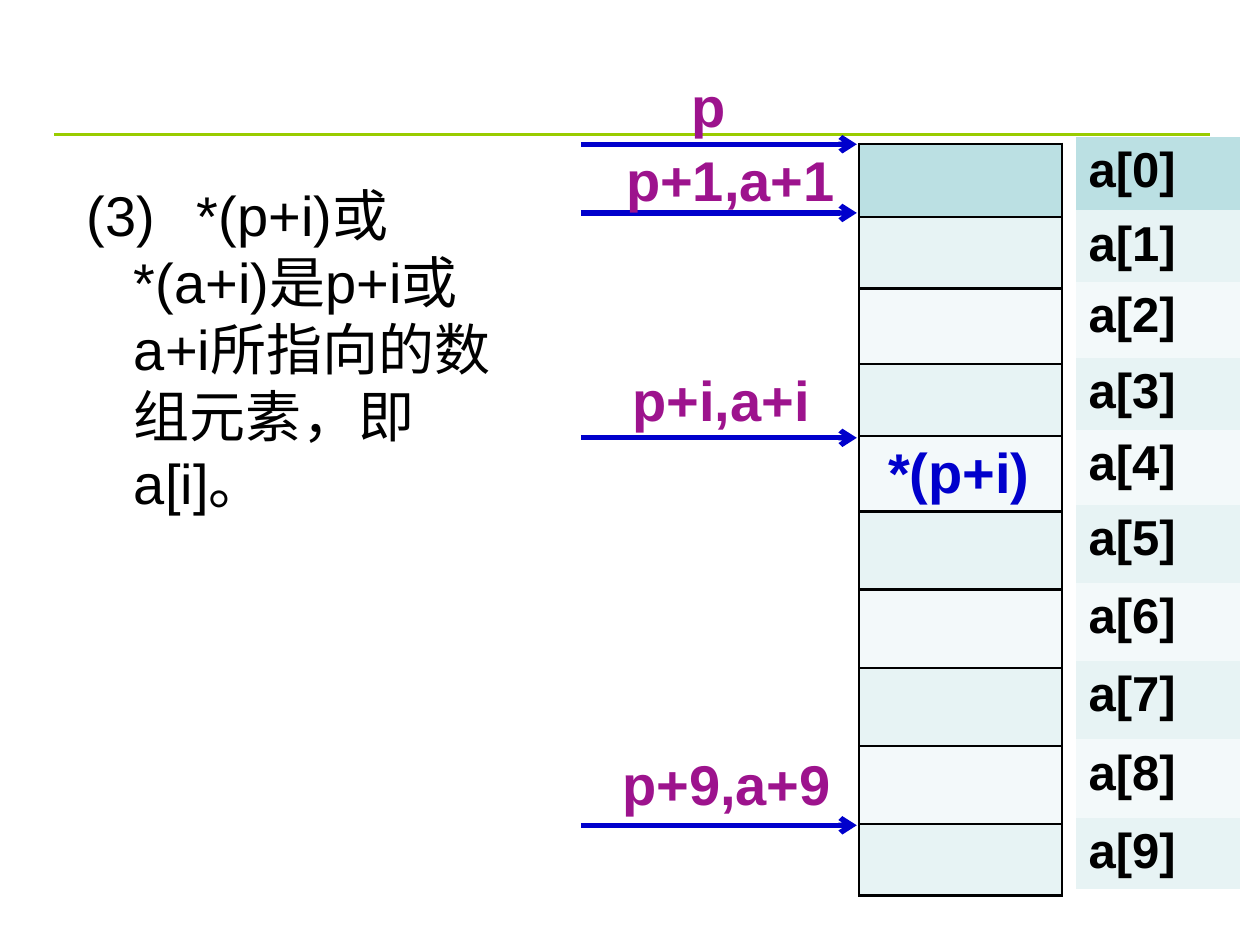
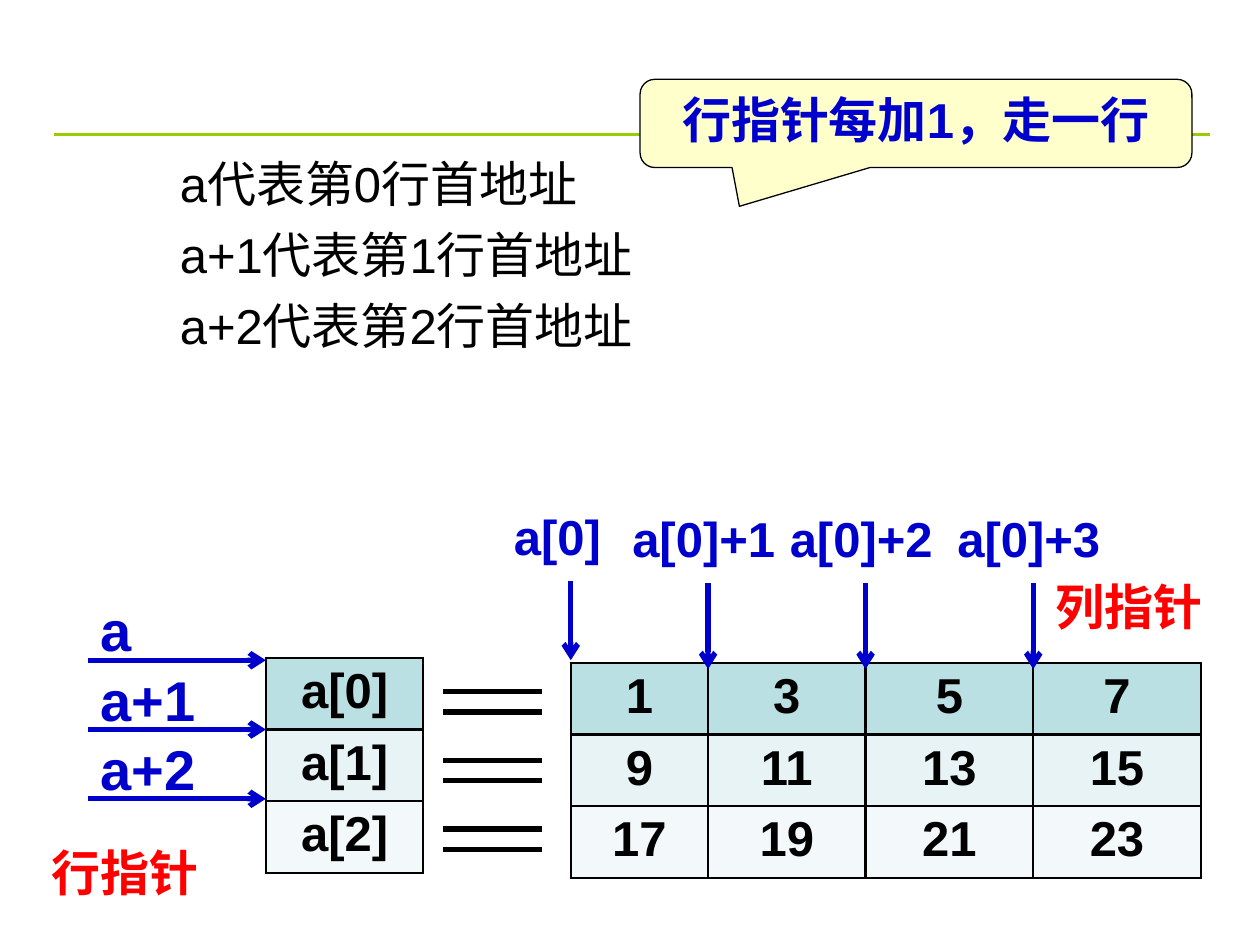
from itertools import accumulate

from lxml import etree
from pptx import Presentation
from pptx import util as u
from pptx.dml.color import RGBColor
from pptx.enum import shapes, text
from pptx.oxml.ns import qn

# The slide is a grid of 100 columns by 75 rows of square cells.
COLUMNS, ROWS = 100, 75
CELL = u.Inches(0.1)

BLACK = RGBColor(0x00, 0x00, 0x00)
BLUE = RGBColor(0x00, 0x00, 0xCC)
PURPLE = RGBColor(0x9D, 0x13, 0x8D)
RED = RGBColor(0xFF, 0x00, 0x00)
GREEN = RGBColor(0x99, 0xCC, 0x00)
CREAM = RGBColor(0xFF, 0xFF, 0xCC)
HEAD_FILL = RGBColor(0xBB, 0xE0, 0xE3)
BAND_FILLS = RGBColor(0xF3, 0xF9, 0xFA), RGBColor(0xE7, 0xF3, 0xF4)

FONT = "Arial"
LARGE, MEDIUM = 32, 28
PLAIN_TABLE = "{2D5ABB26-0587-4C30-8999-92F81FD0307C}"
HANG = 3.75


def grid(*counts):
    return [u.Emu(round(count * CELL)) for count in counts]


def style(paragraph, size, color=BLACK, bold=True, align=None):
    paragraph.alignment = align
    font = paragraph.font
    font.name, font.size, font.bold = FONT, u.Pt(size), bold
    font.color.rgb = color


def add_line(slide, x1, y1, x2, y2, color, width, arrow=False):
    line = slide.shapes.add_connector(
        shapes.MSO_CONNECTOR.STRAIGHT, *grid(x1, y1, x2, y2))
    line.line.color.rgb = color
    line.line.width = u.Pt(width)
    if arrow:
        etree.SubElement(line.line._get_or_add_ln(), qn("a:tailEnd"), type="arrow")
    etree.SubElement(line._element.spPr, qn("a:effectLst"))


def add_arrow(slide, x1, y1, x2, y2):
    add_line(slide, x1, y1, x2, y2, BLUE, 3, arrow=True)


def add_label(slide, words, x, y, width, color, size=MEDIUM):
    height = size / 5
    frame = slide.shapes.add_textbox(*grid(x, y, width, height)).text_frame
    frame.word_wrap = True
    frame.text = words
    style(frame.paragraphs[0], size, color)


def add_body(slide, lines, x, y, width, height, size, spacing=0, tab=None):
    """Add hanging paragraphs, with an optional tab stop after the number."""
    frame = slide.shapes.add_textbox(*grid(x, y, width, height)).text_frame
    frame.word_wrap = True
    frame.text = "\n".join(lines)
    for index, paragraph in enumerate(frame.paragraphs):
        if index:
            paragraph.space_before = u.Pt(spacing)
        properties = paragraph._p.get_or_add_pPr()
        hang, = grid(HANG)
        properties.set("marL", str(hang))
        properties.set("indent", str(-hang))
        if tab:
            stops = etree.SubElement(properties, qn("a:tabLst"))
            etree.SubElement(stops, qn("a:tab"), pos=str(grid(tab)[0]), algn="l")
        style(paragraph, size, bold=False)


def outline(cell):
    properties = cell._tc.get_or_add_tcPr()
    for index, side in enumerate(("a:lnL", "a:lnR", "a:lnT", "a:lnB")):
        edge = etree.Element(qn(side), w=str(u.Pt(1.5)))
        fill = etree.SubElement(edge, qn("a:solidFill"))
        etree.SubElement(fill, qn("a:srgbClr"), val=str(BLACK))
        properties.insert(index, edge)


def add_array(slide, values, x, y, widths, heights, align=None, bordered=True):
    """Draw rows of memory cells: a darker first row, then alternating bands."""
    table = slide.shapes.add_table(
        len(heights), len(widths),
        *grid(x, y, sum(widths), sum(heights))).table
    table._tbl.tblPr.find(qn("a:tableStyleId")).text = PLAIN_TABLE
    table.first_row = table.horz_banding = False
    for column, width in zip(table.columns, grid(*widths)):
        column.width = width
    for index, (row, height) in enumerate(zip(table.rows, grid(*heights))):
        row.height = height
        for cell, value in zip(row.cells, values[index]):
            cell.fill.solid()
            cell.fill.fore_color.rgb = BAND_FILLS[index % 2] if index else HEAD_FILL
            if bordered:
                outline(cell)
            cell.text = str(value)
            style(cell.text_frame.paragraphs[0], MEDIUM, align=align)


def add_callout(slide, words, x, y, width, height, tip):
    callout = slide.shapes.add_shape(
        shapes.MSO_SHAPE.ROUNDED_RECTANGULAR_CALLOUT, *grid(x, y, width, height))
    callout.shadow.inherit = False
    callout.fill.solid()
    callout.fill.fore_color.rgb = CREAM
    callout.line.color.rgb = BLACK
    callout.line.width = u.Pt(0.75)
    callout.adjustments[0], callout.adjustments[1] = tip
    frame = callout.text_frame
    frame.vertical_anchor = text.MSO_ANCHOR.TOP
    frame.text = words
    style(frame.paragraphs[0], MEDIUM, BLUE, align=text.PP_ALIGN.CENTER)


def new_slide(deck):
    slide = deck.slides.add_slide(deck.slide_layouts[6])
    add_line(slide, 4.3, 10.7, 96, 10.7, GREEN, 1.5)
    return slide


def element_pointers(deck):
    slide = new_slide(deck)
    add_body(slide, ["(3)\t*(p+i)或*(a+i)是p+i或a+i所指向的数组元素，即a[i]。"],
             5.9, 13.8, 36.3, 53.9, LARGE, tab=7.9)
    heights = [5.8, 5.7, 6, 5.7, 6] + [6.2] * 4 + [5.7]
    names = [[f"a[{i}]"] for i in range(len(heights))]
    add_array(slide, names, 85.4, 10.9, [13], heights, bordered=False)
    add_array(slide, [[""]] * len(heights), 68.2, 11.4, [16.1], heights)
    pointers = [
        ("p", 53.9, 5.2, 5.5, 11.45),
        ("p+1,a+1", 48.7, 11.1, 18.8, 16.9),
        ("p+i,a+i", 49.2, 28.5, 18.7, 34.75),
        ("p+9,a+9", 48.4, 59, 18.8, 65.5),
    ]
    for *_, arrow_y in pointers:
        add_arrow(slide, 46.1, arrow_y, 68, arrow_y)
    for name, x, y, width, _ in pointers:
        add_label(slide, name, x, y, width, PURPLE, LARGE)
    add_label(slide, "*(p+i)", 69.5, 34.2, 13.3, BLUE, LARGE)


def row_and_column_pointers(deck):
    slide = new_slide(deck)
    row_names = ["a", "a+1", "a+2"]
    add_body(slide, [f"{name}代表第{i}行首地址" for i, name in enumerate(row_names)],
             13.3, 11.7, 46.1, 22.7, MEDIUM, spacing=7)

    center = text.PP_ALIGN.CENTER
    widths, heights = [10.9, 12.5, 13.3, 13.3], [5.7] * 3
    odd_numbers = [range(first, first + 8, 2) for first in (1, 9, 17)]
    matrix_x = 45.3
    add_array(slide, odd_numbers, matrix_x, 52.6, widths, heights, center)
    add_array(slide, [[f"a[{i}]"] for i in range(3)], 21.1, 52.2, [12.5], heights, center)

    for i, name in enumerate(row_names):
        for bar_y in (54.9, 56.5):
            y = bar_y + 5.45 * i
            add_line(slide, 35.2, y, 43, y, BLACK, 3)
        arrow_y = 52.4 + 5.5 * i
        add_label(slide, name, 7, arrow_y - 5.6, 12.5 if i else 4.7, BLUE, LARGE)
        add_arrow(slide, 7, arrow_y, 21.1, arrow_y)

    column_edges = accumulate(widths[:-1], initial=matrix_x)
    for i, x in enumerate(column_edges):
        if i:
            add_label(slide, f"a[0]+{i}", x - 7, 39.9, 18, BLUE)
            add_arrow(slide, x, 46.3, x, 53.1)
        else:
            add_label(slide, "a[0]", x - 5.5, 39.7, 11.7, BLUE)
            add_arrow(slide, x, 46.1, x, 52.4)

    add_label(slide, "行指针", 3.1, 66.4, 14.8, RED)
    add_label(slide, "列指针", 82.8, 45.3, 14.8, RED)
    add_callout(slide, "行指针每加1，走一行", 50.8, 6.3, 43.8, 7, (-0.32, 0.94))


def main():
    deck = Presentation()
    deck.slide_width, deck.slide_height = grid(COLUMNS, ROWS)
    element_pointers(deck)
    row_and_column_pointers(deck)
    deck.save("out.pptx")


if __name__ == "__main__":
    main()
